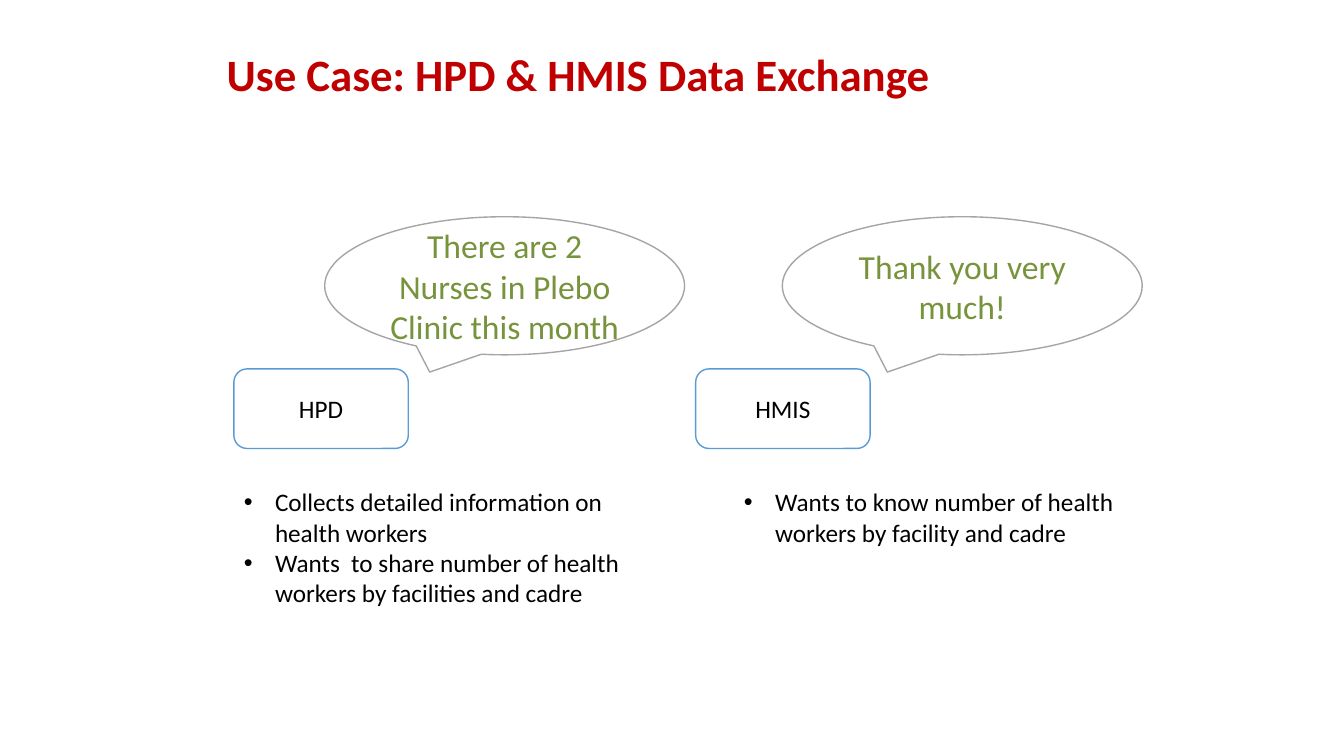
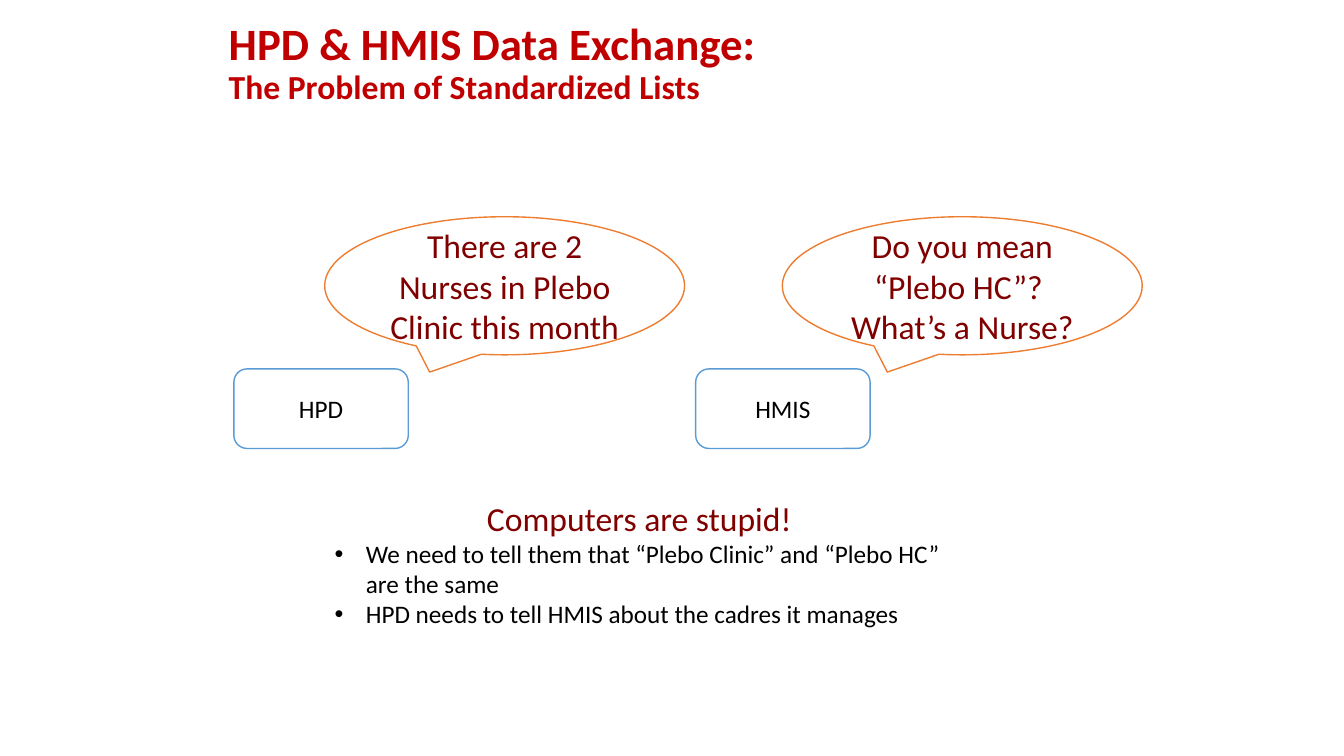
from dataclasses import dataclass

from lxml.etree import SubElement
from pptx import Presentation
from pptx.dml.color import RGBColor
from pptx.enum.shapes import MSO_SHAPE
from pptx.enum.text import MSO_ANCHOR, MSO_AUTO_SIZE, PP_ALIGN
from pptx.oxml.ns import qn
from pptx.util import Inches, Pt


@dataclass(frozen=True)
class Theme:
    font: str = "Calibri"
    title: str = "C00000"
    ink: str = "000000"
    paper: str = "FFFFFF"
    system: str = "5B9BD5"
    calm_line: str = "A5A5A5"
    calm_text: str = "77933C"
    alert_line: str = "ED7D31"
    alert_text: str = "800000"
    title_size: int = 32
    speech_size: int = 24
    body_size: int = 18
    line_width: int = 1
    indent: float = 0.31


@dataclass(frozen=True)
class Box:
    """Position and size in percent of the slide."""
    x: float
    y: float
    w: float
    h: float


@dataclass(frozen=True)
class Line:
    text: str
    size: int
    color: str
    bold: bool = False
    bullet: bool = False


@dataclass(frozen=True)
class System:
    name: str
    x: float
    speech_x: float


THEME = Theme()
WIDTH, HEIGHT = Inches(13.33), Inches(7.5)
SYSTEMS = (System("HPD", 17.4, 24.16), System("HMIS", 51.76, 58.21))
SYSTEM_Y, SYSTEM_W, SYSTEM_H = 48.8, 12.98, 10.53
SPEECH_Y, SPEECH_W, SPEECH_H = 28.67, 26.78, 18.27


def place(box: Box) -> tuple[int, int, int, int]:
    return (int(WIDTH * box.x / 100), int(HEIGHT * box.y / 100),
            int(WIDTH * box.w / 100), int(HEIGHT * box.h / 100))


def add_run(p, line: Line) -> None:
    r = p.add_run()
    r.text = line.text
    r.font.name = THEME.font
    r.font.size = Pt(line.size)
    r.font.bold = line.bold
    r.font.color.rgb = RGBColor.from_string(line.color)


def add_bullet(p) -> None:
    pPr = p._p.get_or_add_pPr()
    pPr.set("marL", str(Inches(THEME.indent)))
    pPr.set("indent", str(-Inches(THEME.indent)))
    SubElement(pPr, qn("a:buFont")).set("typeface", "Arial")
    SubElement(pPr, qn("a:buChar")).set("char", "•")


def add_title(s, box: Box, lines: list[Line], bottom: float = 0.05) -> None:
    tf = s.shapes.add_textbox(*place(box)).text_frame
    tf.word_wrap = True
    tf.vertical_anchor = MSO_ANCHOR.MIDDLE
    tf.margin_bottom = Inches(bottom)
    p = tf.paragraphs[0]
    p.line_spacing = 0.9
    for i, line in enumerate(lines):
        if i:
            p.add_line_break()
        add_run(p, line)


def add_text(s, box: Box, lines: list[Line]) -> None:
    tf = s.shapes.add_textbox(*place(box)).text_frame
    tf.word_wrap = True
    tf.auto_size = MSO_AUTO_SIZE.SHAPE_TO_FIT_TEXT
    for i, line in enumerate(lines):
        p = tf.add_paragraph() if i else tf.paragraphs[0]
        if line.bullet:
            add_bullet(p)
        else:
            p.alignment = PP_ALIGN.CENTER
        add_run(p, line)


def add_panel(s, kind: MSO_SHAPE, box: Box, line_color: str, line: Line) -> None:
    sp = s.shapes.add_shape(kind, *place(box))
    sp.shadow.inherit = False
    sp.fill.solid()
    sp.fill.fore_color.rgb = RGBColor.from_string(THEME.paper)
    sp.line.color.rgb = RGBColor.from_string(line_color)
    sp.line.width = Pt(THEME.line_width)
    tf = sp.text_frame
    tf.word_wrap = True
    tf.vertical_anchor = MSO_ANCHOR.MIDDLE
    p = tf.paragraphs[0]
    p.alignment = PP_ALIGN.CENTER
    add_run(p, line)


def add_dialogue(s, speeches: tuple[str, str], line_color: str, text_color: str) -> None:
    for system, speech in zip(SYSTEMS, speeches):
        add_panel(s, MSO_SHAPE.ROUNDED_RECTANGLE,
                  Box(system.x, SYSTEM_Y, SYSTEM_W, SYSTEM_H), THEME.system,
                  Line(system.name, THEME.body_size, THEME.ink))
        add_panel(s, MSO_SHAPE.OVAL_CALLOUT,
                  Box(system.speech_x, SPEECH_Y, SPEECH_W, SPEECH_H), line_color,
                  Line(speech, THEME.speech_size, text_color))


def heading(text: str, size: int = THEME.title_size) -> Line:
    return Line(text, size, THEME.title, bold=True)


def bullet(text: str) -> Line:
    return Line(text, THEME.body_size, THEME.ink, bullet=True)


def build_use_case(s) -> None:
    add_title(s, Box(16.13, 4.53, 67.52, 16.67),
              [heading("Use Case: HPD & HMIS Data Exchange")], bottom=0.45)
    add_dialogue(s, ("There are 2 Nurses in Plebo Clinic this month",
                     "Thank you very much!"),
                 THEME.calm_line, THEME.calm_text)
    add_text(s, Box(17.4, 63.73, 30.98, 17.47), [
        bullet("Collects detailed information on health workers"),
        bullet("Wants  to share number of health workers by facilities and cadre"),
    ])
    add_text(s, Box(54.61, 63.73, 30.83, 9.47), [
        bullet("Wants to know number of health workers by facility and cadre"),
    ])


def build_problem(s) -> None:
    add_title(s, Box(16.28, 0.13, 67.52, 16.67), [
        heading("HPD & HMIS Data Exchange:"),
        heading("The Problem of Standardized Lists", THEME.speech_size),
    ])
    add_dialogue(s, ("There are 2 Nurses in Plebo Clinic this month",
                     "Do you mean “Plebo HC”?  What’s a Nurse?"),
                 THEME.alert_line, THEME.alert_text)
    add_text(s, Box(24.16, 65.2, 46.81, 18.8), [
        Line("Computers are stupid!", THEME.speech_size, THEME.alert_text),
        bullet("We need to tell them that “Plebo Clinic” and “Plebo HC” are the same"),
        bullet("HPD needs to tell HMIS about the cadres it manages"),
    ])


def main() -> None:
    prs = Presentation()
    prs.slide_width, prs.slide_height = WIDTH, HEIGHT
    for build in (build_use_case, build_problem):
        build(prs.slides.add_slide(prs.slide_layouts[6]))
    prs.save("out.pptx")


if __name__ == "__main__":
    main()
